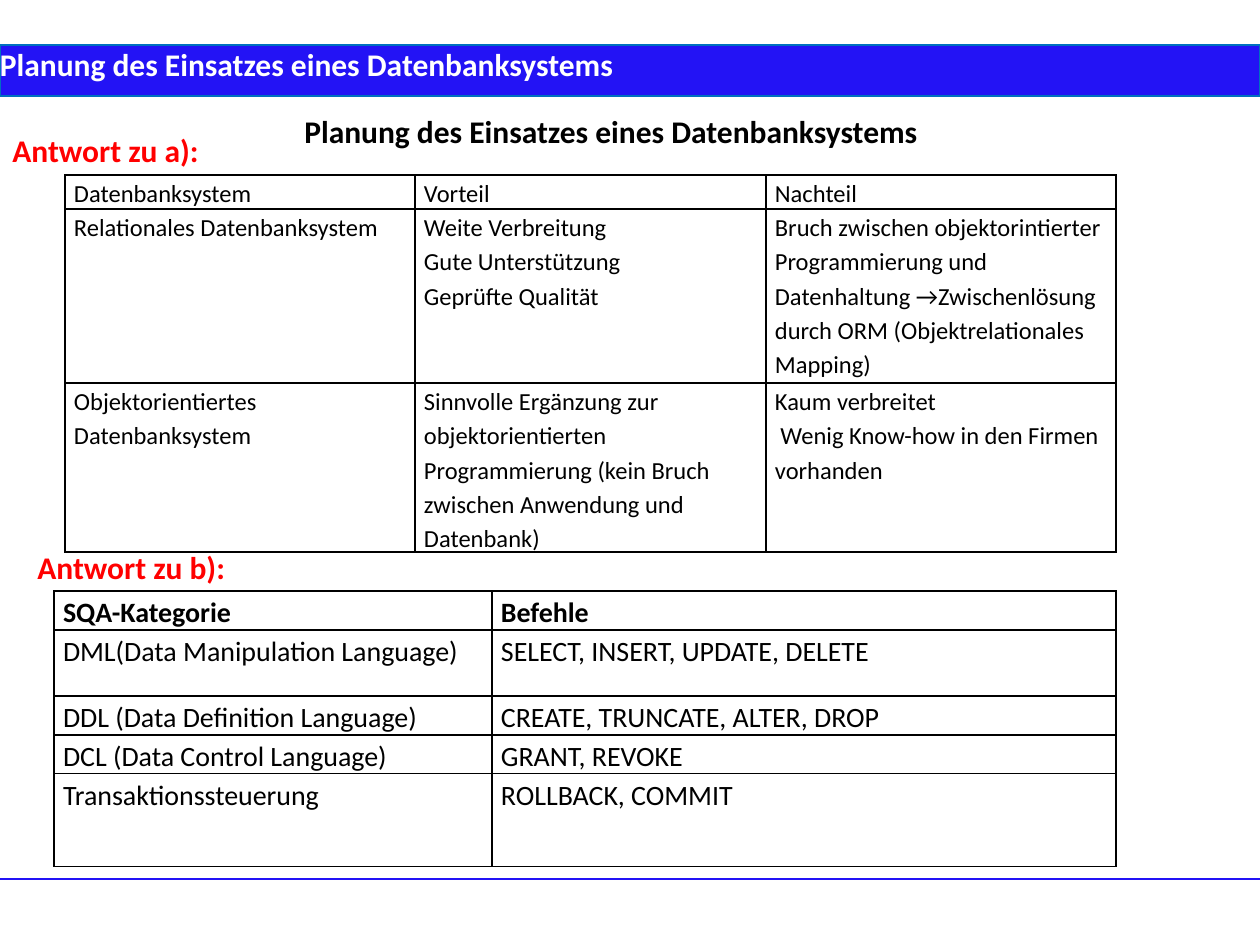
"""Build the slide on planning the use of a database system."""
import pptx
import pptx.util
import pptx.dml.color
import pptx.enum.shapes
import pptx.enum.text
import pptx.oxml.ns
import lxml.etree

TOPIC = "Planung des Einsatzes eines Datenbanksystems"
HEADINGS = [
    {"text": TOPIC, "box": (292, 106, 644, 50), "color": "ink", "wrap": True},
    {"text": "Antwort zu a):", "box": (0, 125, 214, 50), "color": "answer", "wrap": False},
    {"text": "Antwort zu b):", "box": (25, 542, 215, 50), "color": "answer", "wrap": False},
]
COMPARISON = {
    "origin": (65, 175), "columns": (350, 351, 350), "rows": (33, 174, 168),
    "size": "comparison", "bold_header": False,
    "cells": [
        ("Datenbanksystem ", "Vorteil ", "Nachteil"),
        ("Relationales Datenbanksystem ",
         "Weite Verbreitung \nGute Unterstützung \nGeprüfte Qualität",
         "Bruch zwischen objektorintierter Programmierung und Datenhaltung "
         "→Zwischenlösung durch ORM (Objektrelationales Mapping) "),
        ("Objektorientiertes Datenbanksystem ",
         "Sinnvolle Ergänzung zur objektorientierten Programmierung "
         "(kein Bruch zwischen Anwendung und Datenbank) ",
         "Kaum verbreitet \n Wenig Know-how in den Firmen vorhanden"),
    ],
}
COMMANDS = {
    "origin": (54, 591), "columns": (438, 624), "rows": (39, 66, 39, 38, 93),
    "size": "commands", "bold_header": True,
    "cells": [
        ("SQA-Kategorie", "Befehle"),
        ("DML(Data Manipulation Language)", "SELECT, INSERT, UPDATE, DELETE"),
        ("DDL (Data Definition Language)", "CREATE, TRUNCATE, ALTER, DROP"),
        ("DCL (Data Control Language)", "GRANT, REVOKE"),
        ("Transaktionssteuerung", "ROLLBACK, COMMIT"),
    ],
}
BANNER = (0, 45, 1260, 51)
FOOTER_Y = 879
THEME = {
    "font": "Calibri",
    "colors": {"ink": "000000", "answer": "FF0000", "band": "2313F5",
               "band_edge": "0070C0", "paper": "FFFFFF"},
    "sizes": {"heading": 18, "comparison": 14, "commands": 16},
    "border": 1, "band_edge": 0.75, "footer": 1.5, "spacing": 1.15, "cell_inset": 9,
}


def px(length):
    return round(length * 914400 / 126)


def color(role):
    return pptx.dml.color.RGBColor.from_string(THEME["colors"][role])


def write(frame, text, size, role, bold, spacing=None):
    frame.text = text
    for paragraph in frame.paragraphs:
        paragraph.alignment = pptx.enum.text.PP_ALIGN.LEFT
        paragraph.line_spacing = spacing
        for run in paragraph.runs:
            run.font.name = THEME["font"]
            run.font.size = pptx.util.Pt(THEME["sizes"][size])
            run.font.bold = bold
            run.font.color.rgb = color(role)


def add_borders(cell):
    properties = cell._tc.get_or_add_tcPr()
    qn = pptx.oxml.ns.qn
    for index, side in enumerate(("a:lnL", "a:lnR", "a:lnT", "a:lnB")):
        edge = lxml.etree.Element(qn(side), w=str(pptx.util.Pt(THEME["border"])))
        fill = lxml.etree.SubElement(edge, qn("a:solidFill"))
        lxml.etree.SubElement(fill, qn("a:srgbClr"), val=THEME["colors"]["ink"])
        properties.insert(index, edge)


def add_grid(slide, content):
    columns, rows = content["columns"], content["rows"]
    box = (*content["origin"], sum(columns), sum(rows))
    grid = slide.shapes.add_table(len(rows), len(columns), *map(px, box)).table
    grid.first_row = grid.horz_banding = False
    for column, width in zip(grid.columns, columns):
        column.width = px(width)
    for row, height in zip(grid.rows, rows):
        row.height = px(height)
    for r, texts in enumerate(content["cells"]):
        for c, text in enumerate(texts):
            cell = grid.cell(r, c)
            cell.margin_left = cell.margin_right = px(THEME["cell_inset"])
            cell.margin_top = cell.margin_bottom = 0
            cell.fill.background()
            write(cell.text_frame, text, content["size"], "ink",
                  content["bold_header"] and r == 0, THEME["spacing"])
            add_borders(cell)


def add_heading(slide, heading):
    frame = slide.shapes.add_textbox(*map(px, heading["box"])).text_frame
    frame.word_wrap = heading["wrap"]
    frame.auto_size = pptx.enum.text.MSO_AUTO_SIZE.SHAPE_TO_FIT_TEXT
    write(frame, heading["text"], "heading", heading["color"], True)


def add_banner(slide):
    banner = slide.shapes.add_shape(
        pptx.enum.shapes.MSO_SHAPE.RECTANGLE, *map(px, BANNER))
    banner.shadow.inherit = False
    banner.fill.solid()
    banner.fill.fore_color.rgb = color("band")
    banner.line.color.rgb = color("band_edge")
    banner.line.width = pptx.util.Pt(THEME["band_edge"])
    frame = banner.text_frame
    frame.margin_left = frame.margin_right = frame.margin_top = frame.margin_bottom = 0
    frame.vertical_anchor = pptx.enum.text.MSO_ANCHOR.TOP
    frame.word_wrap = True
    write(frame, TOPIC, "heading", "paper", True)


def add_footer_rule(slide):
    rule = slide.shapes.add_connector(
        pptx.enum.shapes.MSO_CONNECTOR.STRAIGHT,
        0, px(FOOTER_Y), px(1260), px(FOOTER_Y))
    rule.line.color.rgb = color("band")
    rule.line.width = pptx.util.Pt(THEME["footer"])
    lxml.etree.SubElement(rule._element.spPr, pptx.oxml.ns.qn("a:effectLst"))


deck = pptx.Presentation()
deck.slide_width, deck.slide_height = px(1260), px(945)
slide = deck.slides.add_slide(deck.slide_layouts[6])
title, answer_a, answer_b = HEADINGS
add_heading(slide, title)
add_grid(slide, COMPARISON)
add_heading(slide, answer_a)
add_grid(slide, COMMANDS)
add_heading(slide, answer_b)
add_banner(slide)
add_footer_rule(slide)
deck.save("out.pptx")
